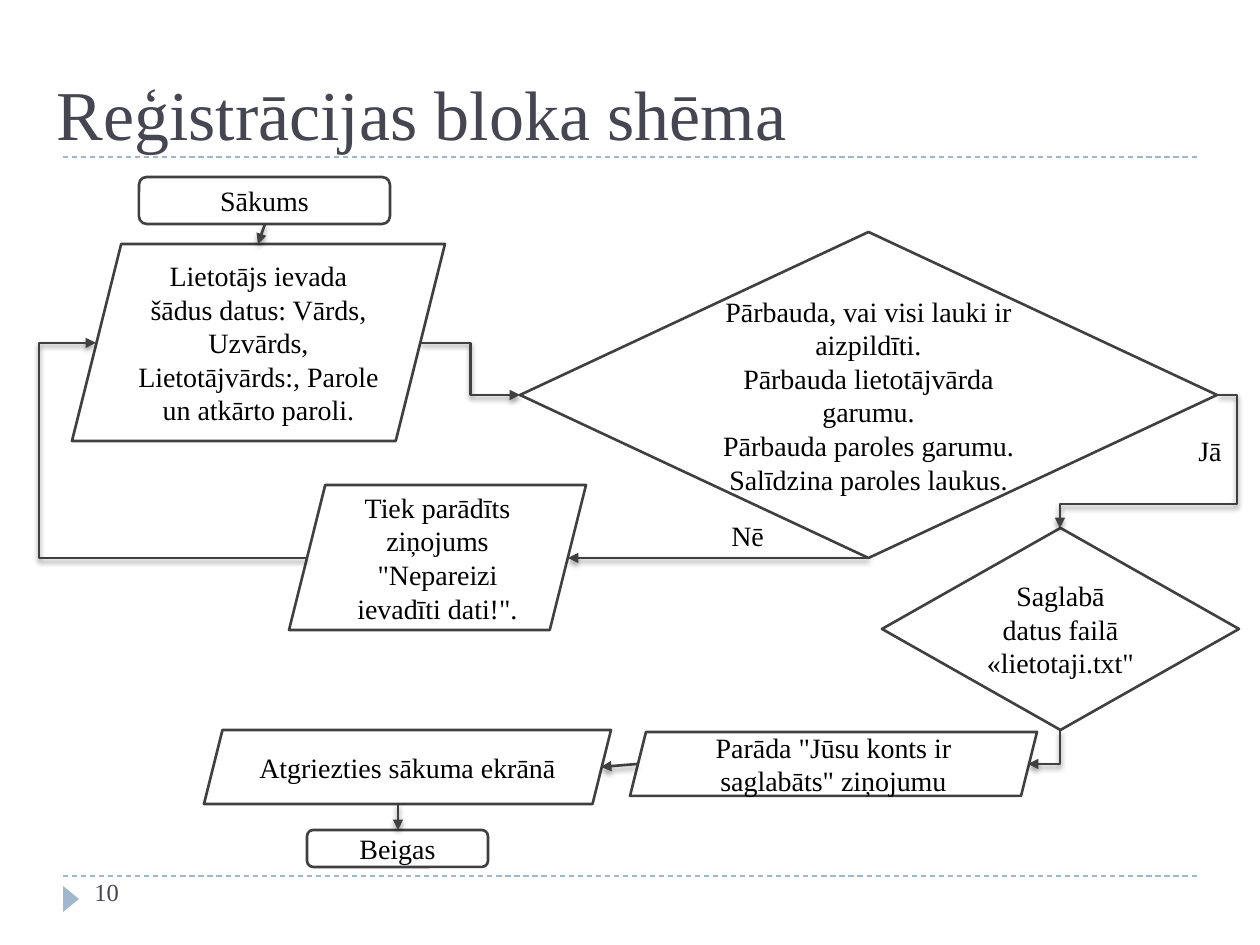
from lxml import etree
from pptx import Presentation
from pptx import util as u
from pptx.dml.color import RGBColor
from pptx.enum import dml, shapes, text
from pptx.oxml.ns import qn

PX = 914400 / 126
INK = RGBColor(0x40, 0x40, 0x40)
BLACK = RGBColor(0x00, 0x00, 0x00)
WHITE = RGBColor(0xFF, 0xFF, 0xFF)
SLATE = RGBColor(0x46, 0x46, 0x53)
PALE_BLUE = RGBColor(0x9F, 0xB8, 0xCD)
KIND = shapes.MSO_SHAPE
STRAIGHT, ELBOW = shapes.MSO_CONNECTOR.STRAIGHT, shapes.MSO_CONNECTOR.ELBOW


def px(*lengths):
    return [round(length * PX) for length in lengths]


def add_xml(parent, tag, **attributes):
    values = {name: str(value) for name, value in attributes.items()}
    return etree.SubElement(parent, qn(tag), values)


class Flowchart:
    """Draws flowchart elements on one slide in a shared style."""

    font_name = "Times New Roman"

    def __init__(self, presentation):
        self.slide = presentation.slides.add_slide(presentation.slide_layouts[5])

    def fill_text(self, shape, paragraphs, size=16, color=BLACK, **formats):
        frame = shape.text_frame
        frame.text = "\n".join(paragraphs)
        for paragraph in frame.paragraphs:
            for name, value in formats.items():
                setattr(paragraph, name, value)
            for run in paragraph.runs:
                run.font.color.rgb = color
                for name, value in {"name": self.font_name, "size": u.Pt(size)}.items():
                    setattr(run.font, name, value)
        return frame

    def title(self, box, words):
        shape = self.slide.shapes.title
        for name, value in zip(("left", "top", "width", "height"), px(*box)):
            setattr(shape, name, value)
        frame = self.fill_text(shape, [words], 40, SLATE,
                               alignment=text.PP_ALIGN.LEFT, line_spacing=u.Pt(70.5))
        frame.vertical_anchor = text.MSO_ANCHOR.BOTTOM
        frame.auto_size = text.MSO_AUTO_SIZE.NONE

    def label(self, box, words, size=16, color=BLACK):
        shape = self.slide.shapes.add_textbox(*px(*box))
        self.fill_text(shape, [words], size, color).word_wrap = False

    def marker(self, box):
        shape = self.slide.shapes.add_shape(KIND.ISOSCELES_TRIANGLE, *px(*box))
        shape.shadow.inherit = False
        shape.rotation = 90
        shape.fill.solid()
        shape.fill.fore_color.rgb = PALE_BLUE
        shape.line.fill.background()

    def node(self, kind, box, *paragraphs):
        shape = self.slide.shapes.add_shape(kind, *px(*box))
        shape.shadow.inherit = False
        if kind == KIND.PARALLELOGRAM:
            shape.fill.solid()
            shape.fill.fore_color.rgb = WHITE
        else:
            shape.fill.background()
        shape.line.color.rgb = INK
        shape.line.width = u.Pt(1.5)
        frame = self.fill_text(shape, paragraphs, alignment=text.PP_ALIGN.CENTER)
        frame.vertical_anchor = text.MSO_ANCHOR.MIDDLE

    def line(self, kind, begin, end, color, width):
        connector = self.slide.shapes.add_connector(kind, *px(*begin, *end))
        connector.line.color.rgb = color
        connector.line.width = u.Pt(width)
        properties = connector._element.spPr
        return connector, properties, add_xml(properties, "a:effectLst")

    def rule(self, y):
        connector, _, _ = self.line(STRAIGHT, (63, y), (1197, y), PALE_BLUE, 0.75)
        connector.line.dash_style = dml.MSO_LINE.DASH

    def arrow(self, begin, end, kind=STRAIGHT, preset=None, bends=(), rotation=0):
        _, properties, effects = self.line(kind, begin, end, INK, 1.5)
        add_xml(properties.find(qn("a:ln")), "a:tailEnd", type="triangle")
        shadow = add_xml(effects, "a:outerShdw", blurRad=u.Pt(3), dist=u.Pt(2),
                         dir=5400000, rotWithShape=0)
        add_xml(add_xml(shadow, "a:srgbClr", val=BLACK), "a:alpha", val=40000)
        geometry = properties.find(qn("a:prstGeom"))
        if preset:
            geometry.set("prst", preset)
        for number, bend in enumerate(bends, 1):
            add_xml(geometry.find(qn("a:avLst")), "a:gd", name=f"adj{number}",
                    fmla=f"val {round(bend * 100000)}")
        if rotation:
            properties.find(qn("a:xfrm")).set("rot", str(rotation * 60000))


def main():
    presentation = Presentation()
    presentation.slide_width, presentation.slide_height = px(1260, 945)
    chart = Flowchart(presentation)

    for y in (876, 157):
        chart.rule(y)
    chart.marker((58, 891, 26, 16))
    chart.title((44, 25, 1134, 136), "Reģistrācijas bloka shēma")
    chart.label((82, 871, 273, 50), "10", 14, SLATE)

    for kind, box, *paragraphs in (
        (KIND.ROUNDED_RECTANGLE, (139, 177, 251, 47), "Sākums"),
        (KIND.PARALLELOGRAM, (72, 244, 373, 197),
         "Lietotājs ievada šādus datus: Vārds, Uzvārds, Lietotājvārds:, "
         "Parole un atkārto paroli."),
        (KIND.FLOWCHART_DECISION, (520, 232, 697, 326),
         "Pārbauda, vai visi lauki ir aizpildīti.",
         "Pārbauda lietotājvārda garumu.",
         "Pārbauda paroles garumu.",
         "Salīdzina paroles laukus."),
        (KIND.FLOWCHART_DECISION, (882, 528, 357, 202),
         "Saglabā datus failā «lietotaji.txt\""),
        (KIND.PARALLELOGRAM, (630, 732, 407, 64),
         "Parāda \"Jūsu konts ir saglabāts\" ziņojumu"),
        (KIND.PARALLELOGRAM, (204, 730, 407, 74), "Atgriezties sākuma ekrānā"),
        (KIND.ROUNDED_RECTANGLE, (307, 830, 181, 37), "Beigas"),
        (KIND.PARALLELOGRAM, (289, 485, 297, 145),
         "Tiek parādīts ziņojums \"Nepareizi ievadīti dati!\"."),
    ):
        chart.node(kind, box, *paragraphs)

    for begin, end in (
        ((265, 224), (258, 244)),
        ((637, 764), (601, 767)),
        ((869, 558), (568, 558)),
        ((398, 804), (398, 830)),
    ):
        chart.arrow(begin, end)
    chart.arrow((421, 343), (520, 395), ELBOW, bends=(0.5,))
    chart.arrow((307, 558), (96, 343), ELBOW, bends=(1.27,))
    chart.arrow((1218, 395), (1060, 528), ELBOW, "bentConnector4", (-0.12, 0.82))
    chart.arrow((1027, 731), (1061, 763), ELBOW, "bentConnector2", rotation=90)

    chart.label((719, 512, 60, 47), "Nē")
    chart.label((1186, 427, 49, 47), "Jā")
    presentation.save("out.pptx")


if __name__ == "__main__":
    main()
